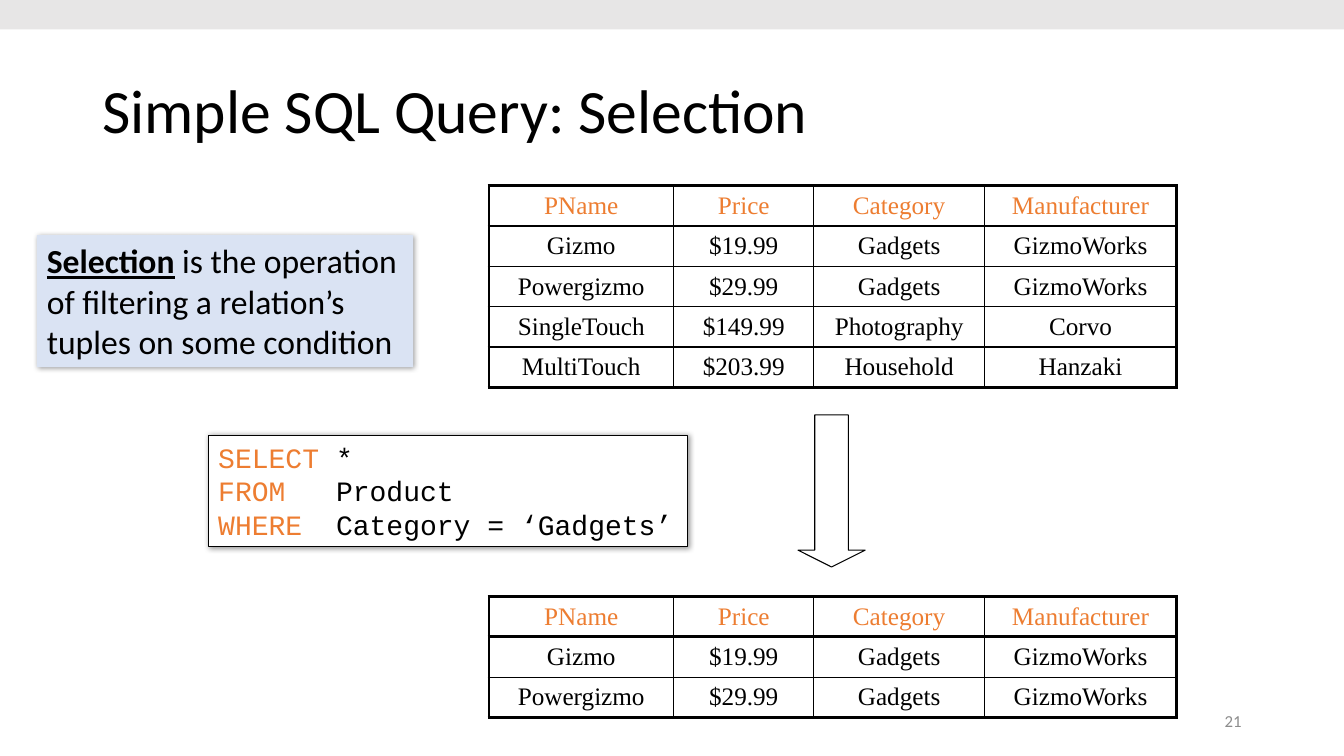
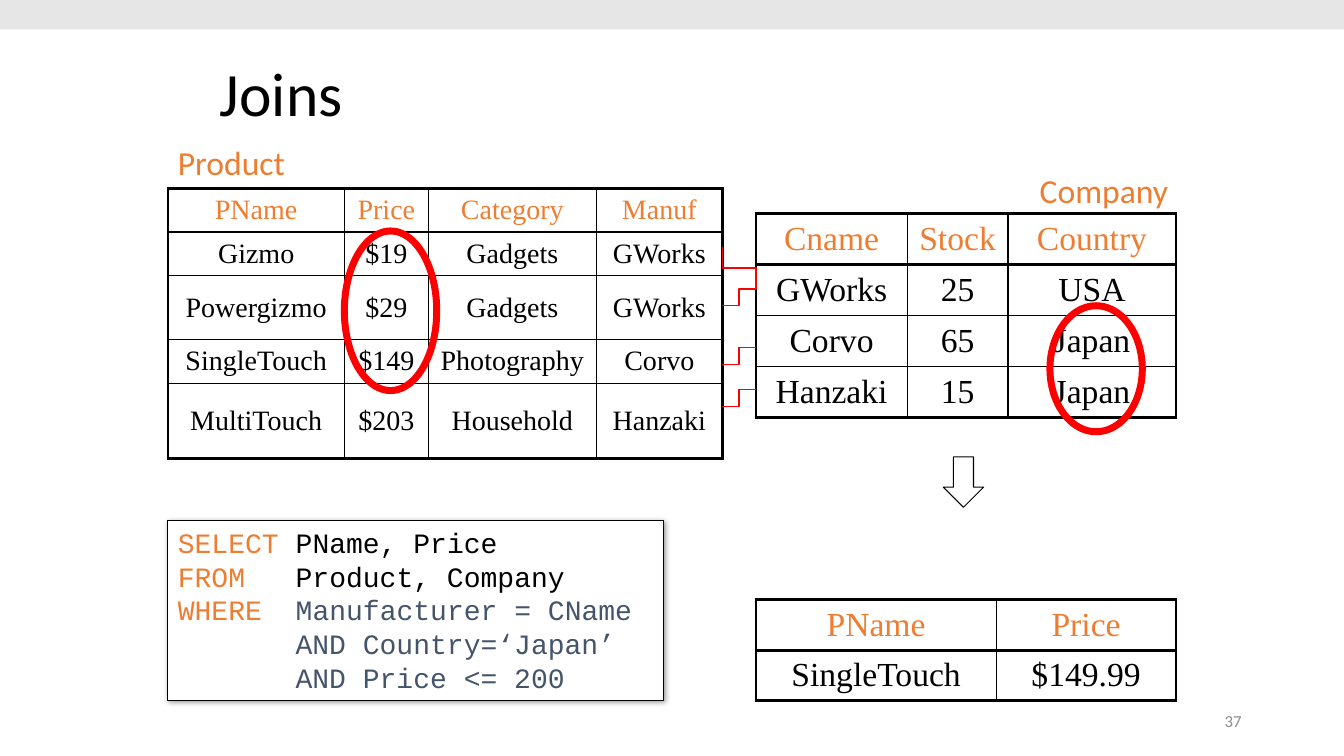
"""Two lecture slides on SQL selection and joins, laid out on a 160 by 90 grid."""
from lxml import etree
from pptx import Presentation, util as u
from pptx.dml.color import RGBColor
from pptx.enum import shapes, text
from pptx.oxml import ns

BLACK = RGBColor(0x00, 0x00, 0x00)
WHITE = RGBColor(0xFF, 0xFF, 0xFF)
ORANGE = RGBColor(0xED, 0x7D, 0x31)
SLATE = RGBColor(0x44, 0x54, 0x6A)
RED = RGBColor(0xFF, 0x00, 0x00)
PALE_BLUE = RGBColor(0xDA, 0xE3, 0xF3)
BAND_GRAY = RGBColor(0xE7, 0xE6, 0xE6)
NUMBER_GRAY = RGBColor(0x8C, 0x8C, 0x8C)

BODY_FONT, CODE_FONT, TABLE_FONT = "Calibri", "Courier New", "Times New Roman"
COLUMNS, ROWS = 160, 90
THIN, THICK = 1, 2.25


def grid(*cells):
    """Turn grid counts into lengths of a twelfth of an inch each."""
    return [u.Inches(cell / 12) for cell in cells]


def add_xml(parent, tag, **attributes):
    """Append a DrawingML element to a parent and return it."""
    return etree.SubElement(parent, ns.qn(tag), {k: str(v) for k, v in attributes.items()})


def write(frame, paragraphs, size, color=BLACK, font=BODY_FONT, align=None,
          anchor=text.MSO_ANCHOR.TOP, wrap=True):
    """Fill a text frame with paragraphs of (text, colour, emphasis) runs."""
    frame.word_wrap = wrap
    frame.vertical_anchor = anchor
    for index, runs in enumerate(paragraphs):
        paragraph = frame.add_paragraph() if index else frame.paragraphs[0]
        paragraph.alignment = align or text.PP_ALIGN.LEFT
        paragraph.font.name = font
        paragraph.font.size = u.Pt(size)
        paragraph.font.color.rgb = color
        for words, run_color, emphasis in runs:
            run = paragraph.add_run()
            run.text = words
            if run_color != color:
                run.font.color.rgb = run_color
            if emphasis:
                run.font.bold = run.font.underline = True


def add_label(slide, box, words, size, color=BLACK, **options):
    """Add a one-paragraph text box and return its paragraph."""
    frame = slide.shapes.add_textbox(*grid(*box)).text_frame
    write(frame, [[(words, color, False)]], size, color, **options)
    return frame.paragraphs[0]


def add_shape(slide, kind, box, fill=None, line=None, width=0.75):
    """Add a flat preset shape with an optional fill and outline."""
    shape = slide.shapes.add_shape(kind, *grid(*box))
    shape.shadow.inherit = False
    if fill is None:
        shape.fill.background()
    else:
        shape.fill.solid()
        shape.fill.fore_color.rgb = fill
    if line is None:
        shape.line.fill.background()
    else:
        shape.line.color.rgb = line
        shape.line.width = u.Pt(width)
    return shape


def add_card(slide, box, fill, line=None):
    """Add a rectangle with a soft drop shadow."""
    card = add_shape(slide, shapes.MSO_SHAPE.RECTANGLE, box, fill, line)
    effects = card.element.spPr.find(ns.qn("a:effectLst"))
    shadow = add_xml(effects, "a:outerShdw", blurRad=u.Pt(4), dist=u.Pt(1),
                     dir=45 * 60000, algn="tl", rotWithShape=0)
    add_xml(add_xml(shadow, "a:srgbClr", val=BLACK), "a:alpha", val=40000)
    return card


def add_code(slide, box, lines):
    """Add a query card from lines of (keyword, rest, colour of rest)."""
    paragraphs = [[(keyword, ORANGE, False), (rest, color, False)] if keyword
                  else [(rest, color, False)] for keyword, rest, color in lines]
    write(add_card(slide, box, WHITE, BLACK).text_frame, paragraphs, 20,
          font=CODE_FONT, wrap=False)


def add_arrow(slide, box, head):
    """Add an outlined down arrow with the given head proportion."""
    arrow = add_shape(slide, shapes.MSO_SHAPE.DOWN_ARROW, box, line=BLACK)
    arrow.adjustments[0], arrow.adjustments[1] = 0.5, head


def add_ring(slide, box):
    """Circle some table values in red."""
    add_shape(slide, shapes.MSO_SHAPE.OVAL, box, line=RED, width=5)


def add_link(slide, left, top, right, bottom, upright=False):
    """Join two points with a red elbow line, leaving vertically if upright."""
    if upright:
        middle_x, middle_y = (left + right) / 2, (top + bottom) / 2
        half_x, half_y = (bottom - top) / 2, (right - left) / 2
        left, right = middle_x + half_x, middle_x - half_x
        top, bottom = middle_y - half_y, middle_y + half_y
    link = slide.shapes.add_connector(shapes.MSO_CONNECTOR.ELBOW,
                                      *grid(left, top, right, bottom))
    link.line.color.rgb = RED
    link.line.width = u.Pt(1)
    properties = link._element.spPr
    add_xml(properties, "a:effectLst")
    if upright:
        properties.find(ns.qn("a:xfrm")).set("rot", str(270 * 60000))


def set_borders(cell, widths):
    """Draw the left, right, top and bottom borders of a cell."""
    properties = cell._tc.get_or_add_tcPr()
    for side, width in zip("LRTB", widths):
        line = add_xml(properties, f"a:ln{side}", w=u.Pt(width))
        add_xml(add_xml(line, "a:solidFill"), "a:srgbClr", val=BLACK)


def add_relation(slide, left, top, widths, heights, records, size, fill=None):
    """Add a table with a thick frame and a ruled orange header row."""
    table = slide.shapes.add_table(len(heights), len(widths), *grid(
        left, top, sum(widths), sum(heights))).table
    table.first_row = table.horz_banding = False
    for column, width in zip(table.columns, grid(*widths)):
        column.width = width
    for row, height in zip(table.rows, grid(*heights)):
        row.height = height
    last_row, last_column = len(heights) - 1, len(widths) - 1
    for i, record in enumerate(records):
        for j, value in enumerate(record):
            cell = table.cell(i, j)
            thick = (j == 0, j == last_column, i <= 1, i in (0, last_row))
            set_borders(cell, [THICK if edge else THIN for edge in thick])
            if fill is None:
                cell.fill.background()
            else:
                cell.fill.solid()
                cell.fill.fore_color.rgb = fill
            color = BLACK if i else ORANGE
            write(cell.text_frame, [[(value, color, False)]], size, color,
                  TABLE_FONT, text.PP_ALIGN.CENTER)
            cell.vertical_anchor = text.MSO_ANCHOR.MIDDLE


def add_slide(presentation, title, title_box, number):
    """Add a blank slide with the top band, title and slide number."""
    slide = presentation.slides.add_slide(presentation.slide_layouts[6])
    add_shape(slide, shapes.MSO_SHAPE.RECTANGLE, (0, 0, COLUMNS, 3.5), BAND_GRAY)
    heading = add_label(slide, title_box, title, 44, anchor=text.MSO_ANCHOR.MIDDLE)
    heading.line_spacing = 0.9
    add_label(slide, (113, 83.4, 36, 4.8), number, 12, NUMBER_GRAY,
              align=text.PP_ALIGN.RIGHT, anchor=text.MSO_ANCHOR.MIDDLE)
    return slide


def build_selection(presentation):
    """Build the slide on filtering tuples."""
    slide = add_slide(presentation, "Simple SQL Query: Selection", (11, 4.8, 138, 17.4), "21")
    products = [
        ("PName", "Price", "Category", "Manufacturer"),
        ("Gizmo", "$19.99", "Gadgets", "GizmoWorks"),
        ("Powergizmo", "$29.99", "Gadgets", "GizmoWorks"),
        ("SingleTouch", "$149.99", "Photography", "Corvo"),
        ("MultiTouch", "$203.99", "Household", "Hanzaki"),
    ]
    widths = (22, 16.7, 20.3, 22.9)
    add_relation(slide, 58.2, 22.1, widths, [4.8] * 5, products, 18)
    add_arrow(slide, (95, 49.4, 8, 18.1), 0.25)
    add_relation(slide, 58.2, 71, widths, [4.56] * 3, products[:3], 18)
    add_code(slide, (24.8, 51.8, 57, 13.3), [
        ("SELECT", " *", BLACK),
        ("FROM", "   Product", BLACK),
        ("WHERE", "  Category = ‘Gadgets’", BLACK),
    ])
    definition = add_card(slide, (4.4, 28, 44.8, 15.7), PALE_BLUE)
    write(definition.text_frame, [[
        ("Selection", BLACK, True),
        (" is the operation of filtering a relation’s tuples on some condition", BLACK, False),
    ]], 24)


def build_joins(presentation):
    """Build the slide on joining two relations."""
    slide = add_slide(presentation, "Joins", (25, 4, 108, 15), "37")
    add_relation(slide, 20, 22.4, (21, 10, 20, 15), (5, 4.9, 7.6, 5, 9), [
        ("PName", "Price", "Category", "Manuf"),
        ("Gizmo", "$19", "Gadgets", "GWorks"),
        ("Powergizmo", "$29", "Gadgets", "GWorks"),
        ("SingleTouch", "$149", "Photography", "Corvo"),
        ("MultiTouch", "$203", "Household", "Hanzaki"),
    ], 20)
    add_label(slide, (20, 16.3, 15.2, 6), "Product", 24, ORANGE, wrap=False)
    add_label(slide, (122.6, 19.6, 17.9, 6), "Company", 24, ORANGE, wrap=False)
    add_relation(slide, 90, 25.4, (18, 12, 20), [6.07] * 4, [
        ("Cname", "Stock", "Country"),
        ("GWorks", "25", "USA"),
        ("Corvo", "65", "Japan"),
        ("Hanzaki", "15", "Japan"),
    ], 24, WHITE)
    add_relation(slide, 90, 71.4, (28.6, 21.4), [6] * 2, [
        ("PName", "Price"),
        ("SingleTouch", "$149.99"),
    ], 24)
    add_arrow(slide, (112.3, 54.4, 4.8, 6), 0.5)
    add_link(slide, 86, 29.4, 90, 34.4, upright=True)
    for start in (36.4, 43.4, 48.4):
        add_link(slide, 86, start, 90, start - 2)
    add_ring(slide, (41, 27.5, 11, 19))
    add_ring(slide, (125, 36.4, 11, 15))
    add_code(slide, (20, 62, 59, 21.4), [
        ("SELECT ", "PName, Price", BLACK),
        ("FROM", "   Product, Company", BLACK),
        ("WHERE  ", "Manufacturer = CName", SLATE),
        ("", "       AND Country=‘Japan’", SLATE),
        ("", "       AND Price <= 200", SLATE),
    ])


def main():
    """Build and save the presentation."""
    presentation = Presentation()
    presentation.slide_width, presentation.slide_height = grid(COLUMNS, ROWS)
    build_selection(presentation)
    build_joins(presentation)
    presentation.save("out.pptx")


if __name__ == "__main__":
    main()
